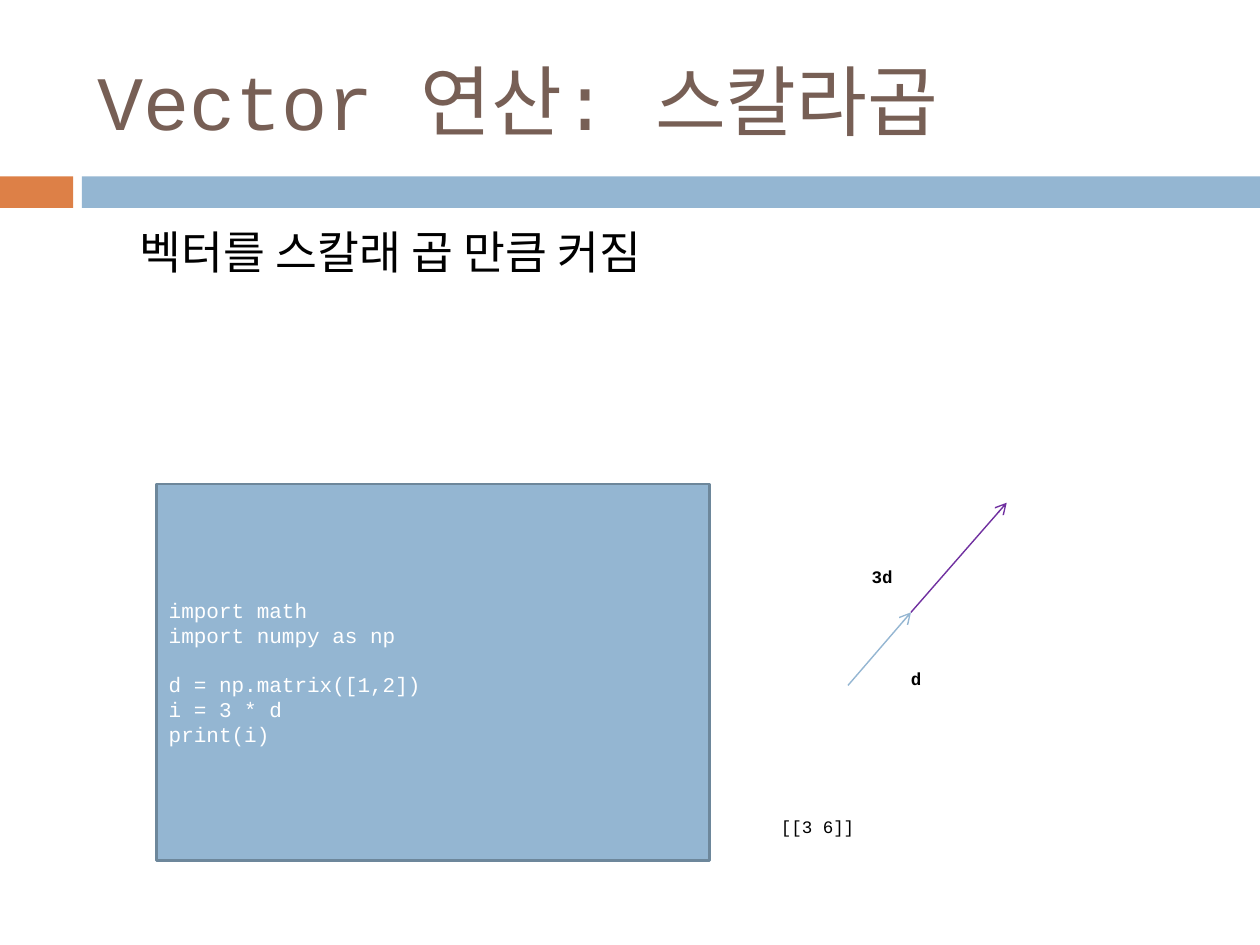
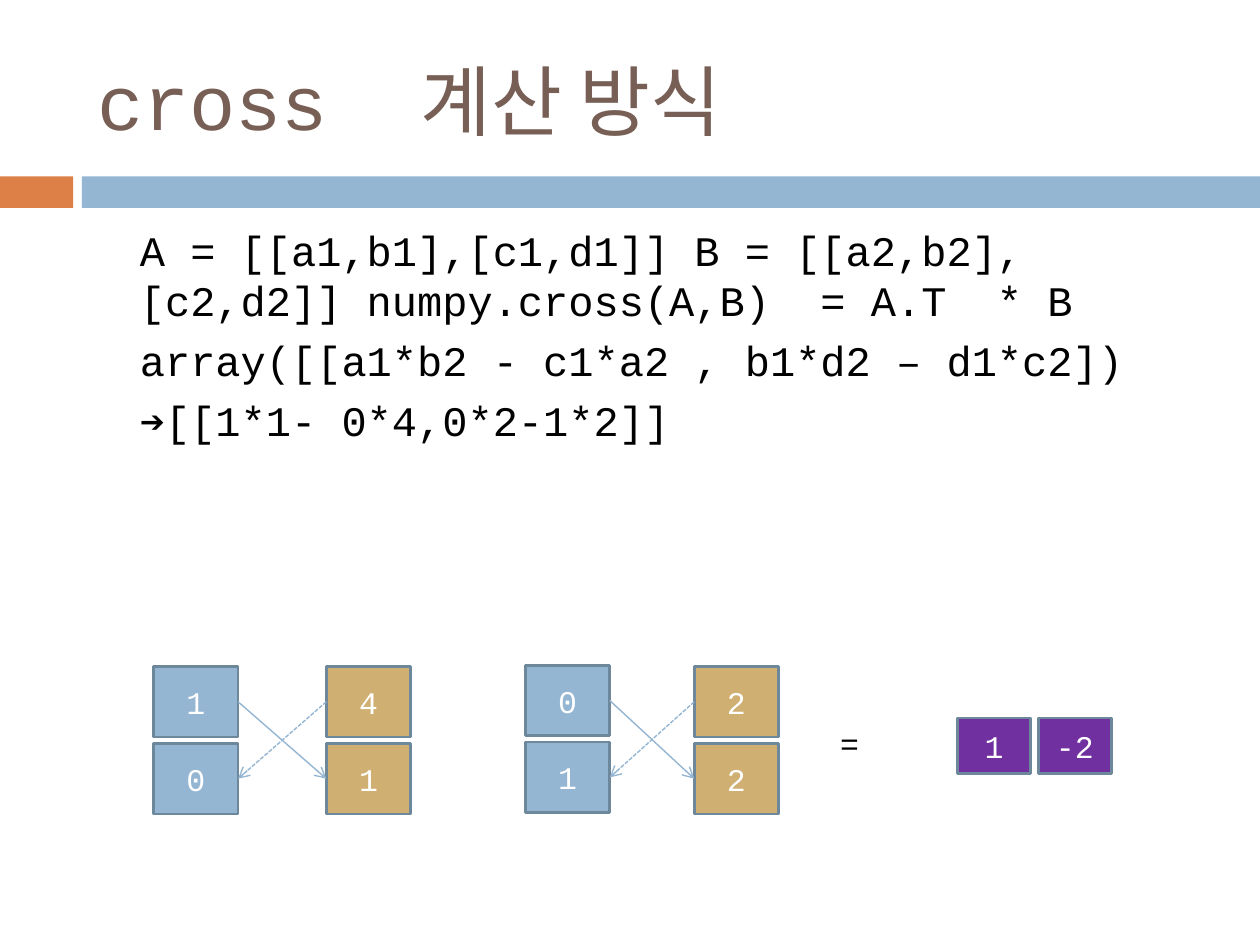
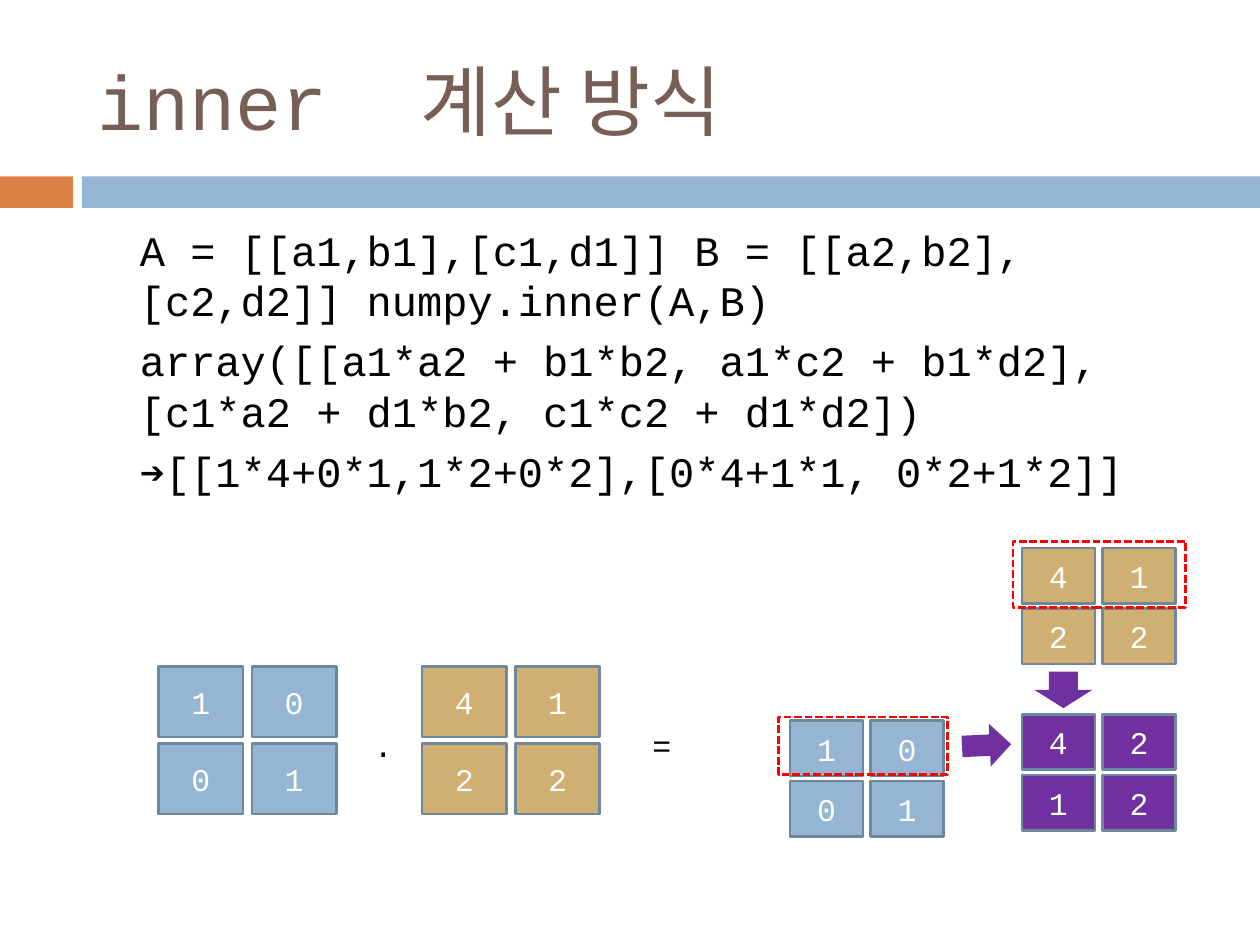
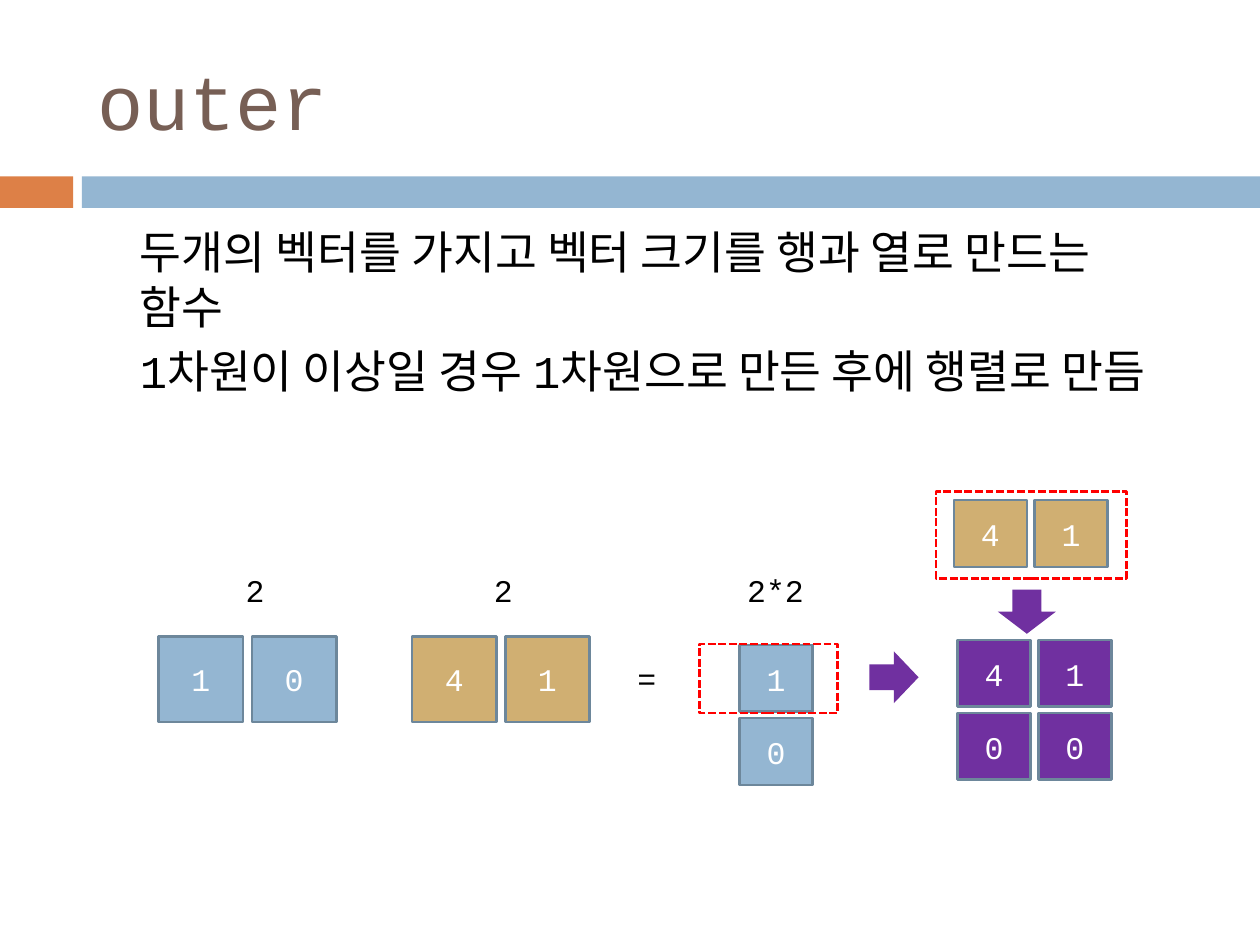
from collections import namedtuple

from lxml.etree import SubElement
from pptx import Presentation
from pptx.dml.color import RGBColor
from pptx.enum.dml import MSO_LINE
from pptx.enum.shapes import MSO_CONNECTOR, MSO_SHAPE
from pptx.enum.text import MSO_ANCHOR, MSO_AUTO_SIZE, PP_ALIGN
from pptx.oxml.ns import qn
from pptx.util import Inches, Pt

FONT = "Courier New"
ORANGE = RGBColor(0xDD, 0x80, 0x47)
BLUE = RGBColor(0x94, 0xB6, 0xD2)
SLATE = RGBColor(0x6D, 0x87, 0x9B)
GOLD = RGBColor(0xD0, 0xAF, 0x72)
PURPLE = RGBColor(0x70, 0x30, 0xA0)
RED = RGBColor(0xFF, 0x00, 0x00)
BROWN = RGBColor(0x77, 0x5F, 0x55)
BLACK = RGBColor(0x00, 0x00, 0x00)
WHITE = RGBColor(0xFF, 0xFF, 0xFF)

TOP, LEFT, BOTTOM, RIGHT = range(4)

Cell = namedtuple("Cell", "width height column_gap row_gap")
LARGE = Cell(0.67, 0.56, 0.07, 0.05)
SMALL = Cell(0.58, 0.44, 0.06, 0.04)
LARGE_TALL = Cell(0.67, 0.68, 0.07, 0.05)
SMALL_TALL = Cell(0.58, 0.53, 0.06, 0.05)


class Deck:
    """Holds the shared style and the slide being built."""

    def __init__(self):
        self.presentation = Presentation()
        self.presentation.slide_width = Inches(10)
        self.presentation.slide_height = Inches(7.5)
        self.slide = None

    def new_slide(self, title, body, body_height, body_size=24):
        layout = self.presentation.slide_layouts[1]
        self.slide = self.presentation.slides.add_slide(layout)
        self.shape((0, 1.4, 0.58, 0.25), fill=ORANGE)
        self.shape((0.65, 1.4, 9.35, 0.25), fill=BLUE)
        self.title(title)
        self.body(body, body_height, body_size)

    def place(self, shape, box):
        shape.left, shape.top, shape.width, shape.height = map(Inches, box)

    def text_run(self, paragraph, text, size, color, bold=False):
        run = paragraph.add_run()
        run.text = text
        run.font.name = FONT
        run.font.size = Pt(size)
        run.font.color.rgb = color
        run.font.bold = bold

    def paragraphs(self, frame, texts):
        for index, text in enumerate(texts):
            paragraph = frame.add_paragraph() if index else frame.paragraphs[0]
            yield index, paragraph, text

    def title(self, text):
        shape = self.slide.shapes.title
        self.place(shape, (0.67, 0.25, 8.92, 1.08))
        frame = shape.text_frame
        frame.auto_size = MSO_AUTO_SIZE.NONE
        frame.vertical_anchor = MSO_ANCHOR.MIDDLE
        frame.paragraphs[0].alignment = PP_ALIGN.LEFT
        self.text_run(frame.paragraphs[0], text, 44, BROWN)

    def body(self, texts, height, size):
        shape = self.slide.placeholders[1]
        self.place(shape, (0.51, 1.73, 9, height))
        frame = shape.text_frame
        frame.auto_size = MSO_AUTO_SIZE.NONE
        for index, paragraph, text in self.paragraphs(frame, texts):
            paragraph.level = 1
            properties = paragraph._p.get_or_add_pPr()
            properties.set("marL", str(Inches(0.5)))
            properties.set("indent", "0")
            SubElement(properties, qn("a:buNone"))
            paragraph.space_before = Pt(5.5 if index else 0)
            self.text_run(paragraph, text, size, BLACK)

    def shape(self, box, kind=MSO_SHAPE.RECTANGLE, fill=None, line=None,
              rotation=0, parent=None):
        shapes = (parent or self.slide).shapes
        shape = shapes.add_shape(kind, *map(Inches, box))
        shape.shadow.inherit = False
        shape.rotation = rotation
        if fill is None:
            shape.fill.background()
        else:
            shape.fill.solid()
            shape.fill.fore_color.rgb = fill
        if line is None:
            shape.line.fill.background()
        else:
            shape.line.color.rgb = line
            shape.line.width = Pt(1.5)
        return shape

    def code(self, box, blocks):
        shape = self.shape(box, fill=BLUE, line=SLATE)
        frame = shape.text_frame
        frame.vertical_anchor = MSO_ANCHOR.MIDDLE
        lines = [(text, block > 0 and row == 0)
                 for block, texts in enumerate(blocks)
                 for row, text in enumerate(texts)]
        for _, paragraph, (text, opens_block) in self.paragraphs(frame, lines):
            paragraph.alignment = PP_ALIGN.LEFT
            if opens_block:
                paragraph.space_before = Pt(13.6)
            self.text_run(paragraph, text, 12, WHITE)

    def matrix(self, left, top, rows, fill, cell):
        group = self.slide.shapes.add_group_shape()
        cells = []
        for row, values in enumerate(rows):
            for column, value in enumerate(values):
                x = left + column * (cell.width + cell.column_gap)
                y = top + row * (cell.height + cell.row_gap)
                shape = self.shape((x, y, cell.width, cell.height),
                                   fill=fill, line=SLATE, parent=group)
                shape.text_frame.vertical_anchor = MSO_ANCHOR.MIDDLE
                paragraph = shape.text_frame.paragraphs[0]
                paragraph.alignment = PP_ALIGN.CENTER
                self.text_run(paragraph, value, 18, WHITE)
                cells.append(shape)
        return cells

    def highlight(self, *box):
        shape = self.shape(box, line=RED)
        shape.line.dash_style = MSO_LINE.SQUARE_DOT

    def block_arrow(self, *box, rotation=0):
        self.shape(box, MSO_SHAPE.DOWN_ARROW, PURPLE, rotation=rotation)

    def label(self, box, text, size=18, bold=False, alignment=PP_ALIGN.LEFT):
        frame = self.slide.shapes.add_textbox(*map(Inches, box)).text_frame
        frame.word_wrap = True
        frame.auto_size = MSO_AUTO_SIZE.SHAPE_TO_FIT_TEXT
        frame.paragraphs[0].alignment = alignment
        self.text_run(frame.paragraphs[0], text, size, BLACK, bold)

    def arrow(self, start, end, color=BLUE, dashed=False):
        connector = self.slide.shapes.add_connector(
            MSO_CONNECTOR.STRAIGHT, *map(Inches, start + end))
        connector.line.color.rgb = color
        connector.line.width = Pt(0.79)
        if dashed:
            connector.line.dash_style = MSO_LINE.SQUARE_DOT
        properties = connector.element.spPr
        SubElement(properties.find(qn("a:ln")), qn("a:tailEnd"), type="arrow")
        SubElement(properties, qn("a:effectLst"))
        return connector

    def join(self, start, start_side, end, end_side, dashed=False):
        connector = self.arrow((0, 0), (1, 1), dashed=dashed)
        connector.begin_connect(start, start_side)
        connector.end_connect(end, end_side)

    def cross(self, blue_cells, gold_cells):
        self.join(blue_cells[0], RIGHT, gold_cells[1], LEFT)
        self.join(gold_cells[0], LEFT, blue_cells[1], RIGHT, dashed=True)


def scalar_product(deck):
    """Builds the slide on scaling a vector."""
    deck.new_slide("Vector 연산: 스칼라곱", ["벡터를 스칼래 곱 만큼 커짐"], 1.47, 26)
    deck.code((1.24, 3.84, 4.39, 2.99), [
        ["import math", "import numpy as np"],
        ["d = np.matrix([1,2])", "i = 3 * d", "print(i)"],
    ])
    deck.label((6.1, 6.43, 3.07, 0.27), "[[3 6]]", 10)
    middle = (7.23, 4.86)
    deck.arrow((6.73, 5.44), middle)
    deck.arrow(middle, (7.99, 3.99), PURPLE)
    deck.label((7.13, 5.25, 0.31, 0.27), "d", 10, bold=True)
    deck.label((6.82, 4.44, 0.46, 0.27), "3d", 10, bold=True)


def cross_product(deck):
    """Builds the slide on numpy.cross."""
    deck.new_slide("cross  계산 방식", [
        "A = [[a1,b1],[c1,d1]] B = [[a2,b2],[c2,d2]] numpy.cross(A,B)  = A.T  * B",
        "array([[a1*b2 - c1*a2 , b1*d2 – d1*c2])",
        "➔[[1*1- 0*4,0*2-1*2]]",
    ], 2.64)
    first_blue = deck.matrix(1.22, 5.29, ["1", "0"], BLUE, LARGE)
    second_blue = deck.matrix(4.17, 5.28, ["0", "1"], BLUE, LARGE)
    first_gold = deck.matrix(2.59, 5.29, ["4", "1"], GOLD, LARGE)
    second_gold = deck.matrix(5.51, 5.29, ["2", "2"], GOLD, LARGE)
    deck.matrix(7.6, 5.7, [["1", "-2"]], PURPLE, SMALL)
    deck.label((6.57, 5.7, 0.24, 0.33), "=")
    deck.cross(second_blue, second_gold)
    deck.cross(first_blue, first_gold)


def inner_product(deck):
    """Builds the slide on numpy.inner."""
    deck.new_slide("inner  계산 방식", [
        "A = [[a1,b1],[c1,d1]] B = [[a2,b2],[c2,d2]] numpy.inner(A,B)",
        "array([[a1*a2 + b1*b2, a1*c2 + b1*d2], [c1*a2 + d1*b2, c1*c2 + d1*d2])",
        "➔[[1*4+0*1,1*2+0*2],[0*4+1*1, 0*2+1*2]]",
    ], 2.64)
    identity, factor = ["10", "01"], ["41", "22"]
    deck.matrix(1.26, 5.29, identity, BLUE, LARGE)
    deck.matrix(3.35, 5.29, factor, GOLD, LARGE)
    deck.matrix(6.27, 5.72, identity, BLUE, SMALL)
    deck.matrix(8.11, 4.35, factor, GOLD, SMALL)
    deck.matrix(8.11, 5.67, ["42", "12"], PURPLE, SMALL)
    deck.highlight(6.18, 5.69, 1.34, 0.46)
    deck.highlight(8.04, 4.3, 1.37, 0.52)
    deck.block_arrow(8.21, 5.33, 0.46, 0.29)
    deck.block_arrow(7.66, 5.72, 0.34, 0.39, rotation=267.3)
    deck.label((5.08, 5.71, 0.24, 0.33), "=")
    deck.label((2.87, 5.71, 0.24, 0.33), ".")


def outer_product(deck):
    """Builds the slide on the outer product."""
    deck.new_slide("outer", [
        "두개의 벡터를 가지고 벡터 크기를 행과 열로 만드는 함수",
        "1차원이 이상일 경우 1차원으로 만든 후에 행렬로 만듬",
    ], 2.18, 26)
    deck.matrix(1.26, 5.05, ["10"], BLUE, LARGE_TALL)
    deck.matrix(3.27, 5.05, ["41"], GOLD, LARGE_TALL)
    deck.matrix(5.87, 5.12, ["1", "0"], BLUE, SMALL_TALL)
    deck.matrix(7.57, 3.97, ["41"], GOLD, SMALL_TALL)
    deck.matrix(7.6, 5.08, ["41", "00"], PURPLE, SMALL_TALL)
    deck.highlight(5.55, 5.11, 1.1, 0.55)
    deck.block_arrow(7.92, 4.68, 0.46, 0.35)
    deck.block_arrow(6.89, 5.18, 0.41, 0.39, rotation=270)
    deck.label((4.96, 5.18, 0.24, 0.4), "=")
    deck.highlight(7.43, 3.9, 1.51, 0.69)
    for left, size in ((1.59, "2"), (3.56, "2"), (5.72, "2*2")):
        deck.label((left, 4.48, 0.87, 0.4), size, alignment=PP_ALIGN.CENTER)


def main():
    """Builds the four slides and saves them."""
    deck = Deck()
    for build in (scalar_product, cross_product, inner_product, outer_product):
        build(deck)
    deck.presentation.save("out.pptx")


if __name__ == "__main__":
    main()
